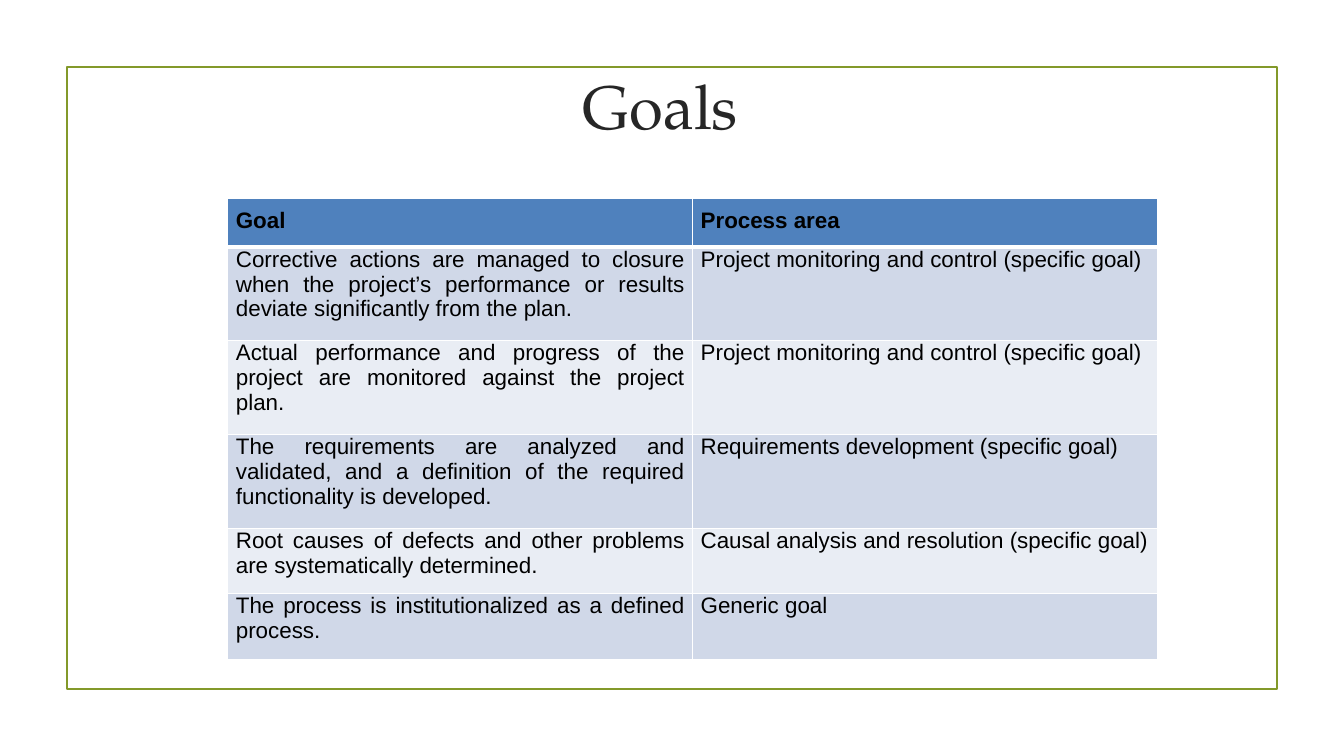
from lxml.etree import SubElement
from pptx import Presentation
from pptx.dml.color import RGBColor
from pptx.enum.shapes import MSO_SHAPE as Shape
from pptx.enum.text import MSO_ANCHOR as Anchor, PP_ALIGN as Align
from pptx.oxml.ns import qn
from pptx.util import Inches, Pt

# Content
TITLE = "Goals"
HEADINGS = ("Goal", "Process area")
GOALS = [
    ("Corrective actions are managed to closure when the project’s performance "
     "or results deviate significantly from the plan.",
     "Project monitoring and control (specific goal)"),
    ("Actual performance and progress of the project are monitored against "
     "the project plan.",
     "Project monitoring and control (specific goal)"),
    ("The requirements are analyzed and validated, and a definition of the "
     "required functionality is developed.",
     "Requirements development (specific goal)"),
    ("Root causes of defects and other problems are systematically determined.",
     "Causal analysis and resolution (specific goal)"),
    ("The process is institutionalized as a defined process.", "Generic goal"),
]

# Layout in inches
WIDTH, HEIGHT = 13.33, 7.5
MARGIN = 0.665
TITLE_BOX = (2.56, 0.62, 7.98, 1.25)
GRID_LEFT, GRID_TOP, COLUMN = 2.26, 1.97, 4.61
HEADING_ROW, TALL_ROW, SHORT_ROW = 0.48, 0.93, 0.65
ROWS = [HEADING_ROW] + [TALL_ROW] * 3 + [SHORT_ROW] * 2

# Colours
WHITE = RGBColor(0xFF, 0xFF, 0xFF)
BLACK = RGBColor(0, 0, 0)
OLIVE = RGBColor(0x83, 0x99, 0x2A)
CHARCOAL = RGBColor(0x26, 0x26, 0x26)
BLUE = RGBColor(0x4F, 0x81, 0xBD)
BANDS = (RGBColor(0xE9, 0xED, 0xF4), RGBColor(0xD0, 0xD8, 0xE8))

TITLE_FONT = {"name": "TeX Gyre Pagella", "size": Pt(44)}
CELL_FONT = {"name": "Arial", "size": Pt(16)}


def write(frame, text, font, color, align):
    paragraph = frame.paragraphs[0]
    paragraph.alignment = align
    run = paragraph.add_run()
    run.text = text
    for key, value in font.items():
        setattr(run.font, key, value)
    run.font.color.rgb = color


def add_border(cell, side, points):
    line = SubElement(cell._tc.get_or_add_tcPr(), qn("a:" + side), w=str(Pt(points)))
    fill = SubElement(line, qn("a:solidFill"))
    SubElement(fill, qn("a:srgbClr"), val=str(WHITE))


deck = Presentation()
deck.slide_width, deck.slide_height = Inches(WIDTH), Inches(HEIGHT)
slide = deck.slides.add_slide(deck.slide_layouts[6])

# Frame
frame = slide.shapes.add_shape(
    Shape.RECTANGLE, *map(Inches, (MARGIN, MARGIN, WIDTH - 2 * MARGIN, HEIGHT - 2 * MARGIN)))
frame.shadow.inherit = False
frame.fill.background()
frame.line.color.rgb = OLIVE
frame.line.width = Pt(1.25)

# Title
title = slide.shapes.add_textbox(*map(Inches, TITLE_BOX)).text_frame
title.word_wrap = True
title.vertical_anchor = Anchor.TOP
write(title, TITLE, TITLE_FONT, CHARCOAL, Align.CENTER)

# Goals table
goals = slide.shapes.add_table(
    len(ROWS), len(HEADINGS),
    *map(Inches, (GRID_LEFT, GRID_TOP, COLUMN * len(HEADINGS), sum(ROWS)))).table
for column in goals.columns:
    column.width = Inches(COLUMN)

for r, (height, texts) in enumerate(zip(ROWS, [HEADINGS] + GOALS)):
    goals.rows[r].height = Inches(height)
    heading = r == 0
    margins = {"margin_left": 0.08, "margin_right": 0.08,
               "margin_top": 0.1 if heading else 0, "margin_bottom": 0.1}
    borders = {"lnL": 1, "lnR": 1, "lnT": 3 if r == 1 else 1, "lnB": 3 if heading else 1}
    for c, text in enumerate(texts):
        cell = goals.cell(r, c)
        for key, value in margins.items():
            setattr(cell, key, Inches(value))
        for side, points in borders.items():
            add_border(cell, side, points)
        cell.fill.solid()
        cell.fill.fore_color.rgb = BLUE if heading else BANDS[r % 2]
        align = Align.JUSTIFY if heading or c == 0 else Align.LEFT
        write(cell.text_frame, text, CELL_FONT | {"bold": heading}, BLACK, align)

deck.save("out.pptx")
